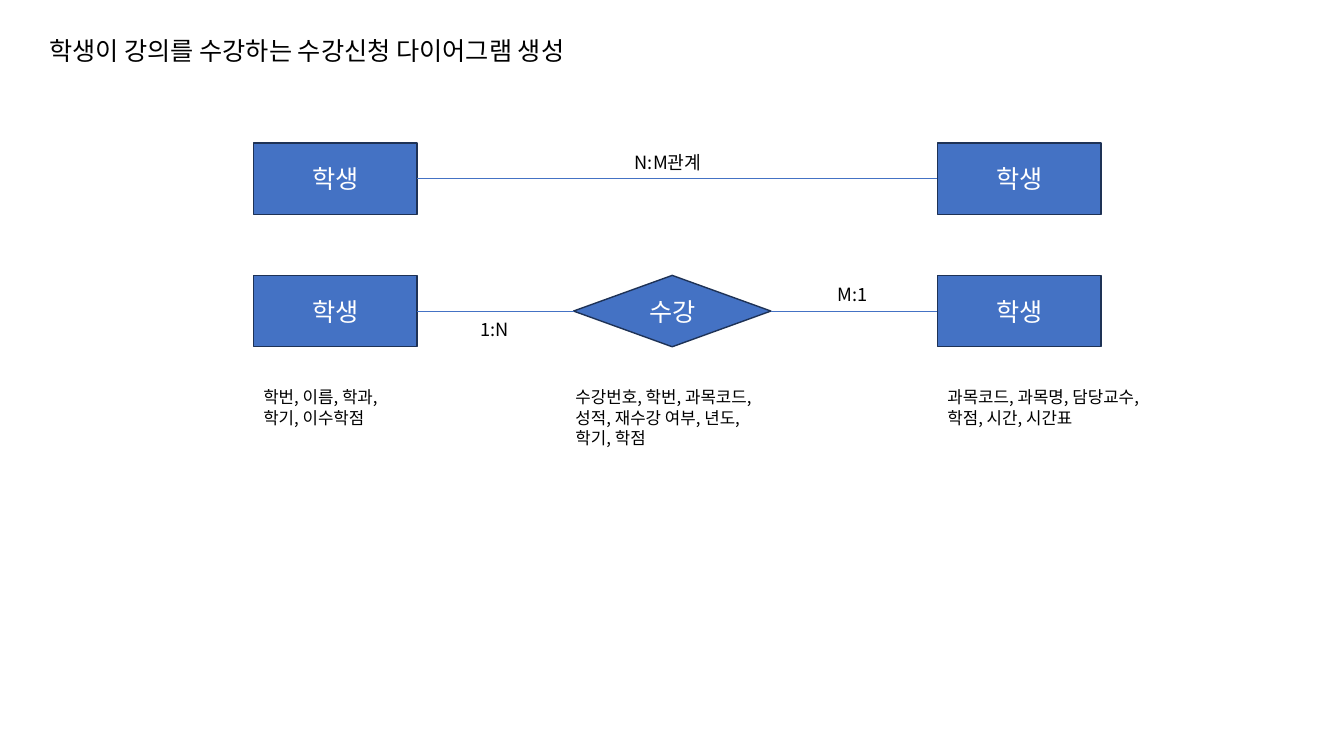
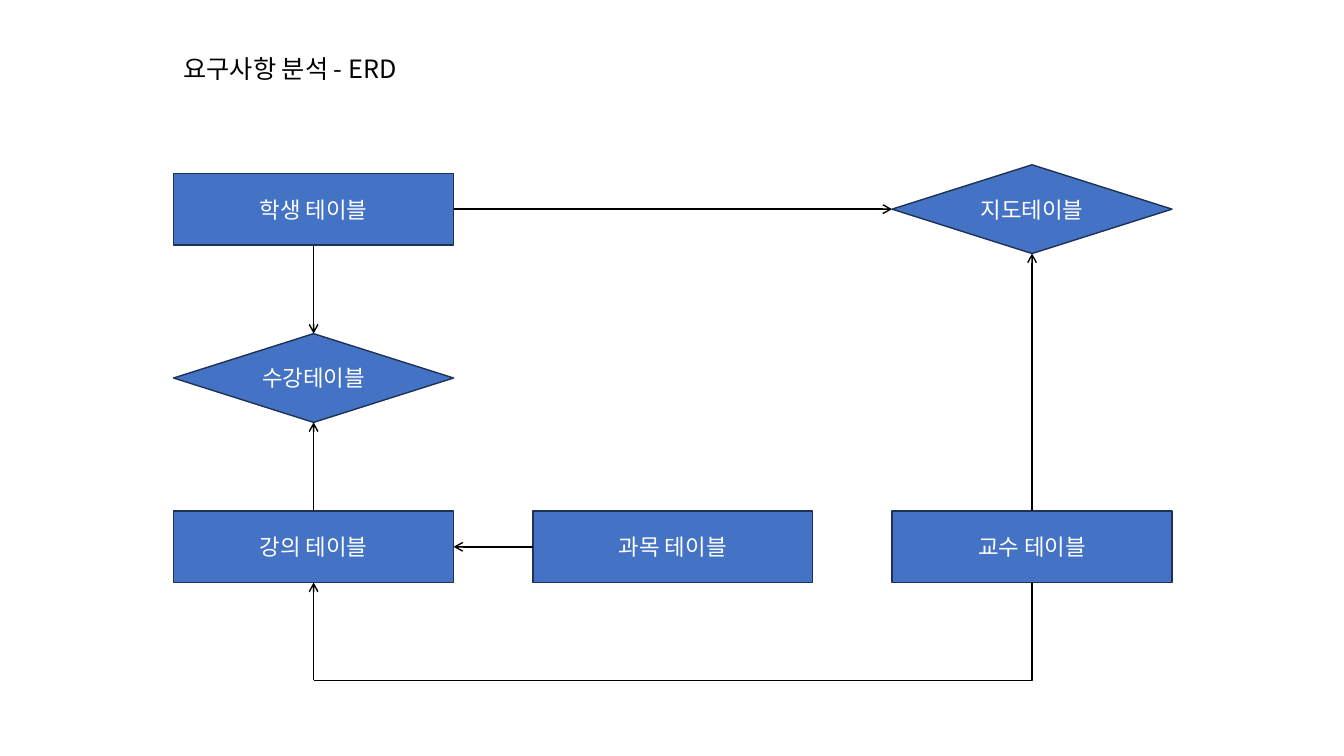
import pptx
import pptx.util
import pptx.dml.color
import pptx.enum.shapes
import pptx.enum.text
import pptx.oxml
import pptx.oxml.ns
from dataclasses import dataclass

Pt = pptx.util.Pt
Kind = pptx.enum.shapes.MSO_SHAPE
Wire = pptx.enum.shapes.MSO_CONNECTOR
qn = pptx.oxml.ns.qn
TOP, LEFT, BASE, RIGHT = range(4)  # connection sites of a box or a diamond


@dataclass(frozen=True)
class Theme:
    font: str = "Noto Sans CJK KR"
    fill: str = "4472C4"
    edge: str = "1E3256"
    ink: str = "000000"
    white: str = "FFFFFF"
    title: int = 18
    node: int = 16
    label: int = 13
    note: int = 12
    lead: float = 1.2
    thin: float = 0.5
    wide: float = 1


def color(code):
    return pptx.dml.color.RGBColor.from_string(code)


class Deck:
    def __init__(self, theme):
        self.theme = theme
        self.file = pptx.Presentation()
        self.file.slide_width, self.file.slide_height = Pt(960), Pt(540)
        self.slide = None

    def page(self):
        self.slide = self.file.slides.add_slide(self.file.slide_layouts[6])

    def fill_in(self, frame, lines, size, ink, align=None):
        """Put each line in a paragraph of its own."""
        frame.word_wrap = True
        for i, line in enumerate(lines):
            para = frame.add_paragraph() if i else frame.paragraphs[0]
            para.alignment = align
            para.line_spacing = Pt(size * self.theme.lead)
            run = para.add_run()
            run.text = line
            run.font.size = Pt(size)
            run.font.name = self.theme.font
            run.font.color.rgb = color(ink)
            east = pptx.oxml.parse_xml(
                f'<a:ea {pptx.oxml.ns.nsdecls("a")} typeface="{self.theme.font}"/>')
            run.font._element.append(east)

    def text(self, x, y, w, h, size, *lines):
        box = self.slide.shapes.add_textbox(Pt(x), Pt(y), Pt(w), Pt(h))
        self.fill_in(box.text_frame, lines, size, self.theme.ink)

    def node(self, kind, x, mid, w, h, name, size):
        """Add a named shape centred vertically on mid."""
        shape = self.slide.shapes.add_shape(
            kind, Pt(x), Pt(mid - h / 2), Pt(w), Pt(h))
        shape.shadow.inherit = False
        shape.fill.solid()
        shape.fill.fore_color.rgb = color(self.theme.fill)
        shape.line.color.rgb = color(self.theme.edge)
        shape.line.width = Pt(self.theme.wide)
        frame = shape.text_frame
        frame.vertical_anchor = pptx.enum.text.MSO_ANCHOR.MIDDLE
        self.fill_in(frame, [name], size, self.theme.white,
                     pptx.enum.text.PP_ALIGN.CENTER)
        return shape

    def wire(self, start, end, ink, width, arrow=False, bent=False):
        """Join two ends; each is a point (x, y) or a pair (shape, site)."""
        kind = Wire.ELBOW if bent else Wire.STRAIGHT
        spots = [0 if hasattr(e[0], "shape_type") else Pt(v)
                 for e in (start, end) for v in e]
        line = self.slide.shapes.add_connector(kind, *spots)
        for e, join in ((start, line.begin_connect), (end, line.end_connect)):
            if hasattr(e[0], "shape_type"):
                join(*e)
        line.line.color.rgb = color(ink)
        line.line.width = Pt(width)
        props = line._element.spPr
        if bent:
            props.find(qn("a:prstGeom")).set("prst", "bentConnector2")
        if arrow:
            tail = props.makeelement(qn("a:tailEnd"), {"type": "arrow"})
            props.find(qn("a:ln")).append(tail)
        props.append(props.makeelement(qn("a:effectLst"), {}))

    def link(self, start, end):
        self.wire(start, end, self.theme.fill, self.theme.thin)

    def arrow(self, start, end):
        self.wire(start, end, self.theme.ink, self.theme.wide, arrow=True)


def enroll(deck):
    t = deck.theme
    deck.page()
    deck.text(28, 21.6, 846, 51, t.title,
              "학생이 강의를 수강하는 수강신청 다이어그램 생성")
    left, right, wide, high = 181, 669.6, 117, 51
    rows = []
    for mid in (127.6, 222.2):
        rows.append([deck.node(Kind.RECTANGLE, x, mid, wide, high, "학생", t.title)
                     for x in (left, right)])
    course = deck.node(Kind.FLOWCHART_DECISION, 409.7, 222.2, 141, high,
                       "수강", t.title)
    (one, two), (pupil, other) = rows
    deck.link((one, RIGHT), (two, LEFT))
    deck.link((course, LEFT), (pupil, RIGHT))
    deck.link((course, RIGHT), (other, LEFT))
    for x, y, w, name in ((446.4, 104.4, 70, "N:M관계"),
                          (336, 224, 37, "1:N"), (591, 198.7, 40, "M:1")):
        deck.text(x, y, w, 23, t.label, name)
    for x, w, h, *lines in (
            (left, wide, 36, "학번, 이름, 학과,", "학기, 이수학점"),
            (right, 162, 36, "과목코드, 과목명, 담당교수, 학점, 시간, 시간표"),
            (404, 153, 51,
             "수강번호, 학번, 과목코드, 성적, 재수강 여부, 년도, 학기, 학점")):
        deck.text(x, 273, w, h, t.note, *lines)


def erd(deck):
    t = deck.theme
    deck.page()
    deck.text(124, 34.6, 229, 29, t.title, "요구사항 분석 - ERD")

    def cell(col, row, name, kind=Kind.RECTANGLE, high=51):
        return deck.node(kind, 124 + col * 256.6, 149.4 + row * 120.6,
                         200, high, name, t.node)

    def gem(col, row, name):
        return cell(col, row, name, Kind.FLOWCHART_DECISION, 63.4)

    pupil = cell(0, 0, "학생 테이블")
    guide = gem(2, 0, "지도테이블")
    course = gem(0, 1, "수강테이블")
    class_ = cell(0, 2, "강의 테이블")
    topic = cell(1, 2, "과목 테이블")
    tutor = cell(2, 2, "교수 테이블")
    for start, end in (((pupil, BASE), (course, TOP)),
                       ((pupil, RIGHT), (guide, LEFT)),
                       ((tutor, TOP), (guide, BASE)),
                       ((topic, LEFT), (class_, RIGHT)),
                       ((class_, TOP), (course, BASE))):
        deck.arrow(start, end)
    turn = (224, 486)
    deck.arrow(turn, (class_, BASE))
    deck.wire(turn, (tutor, BASE), t.ink, t.wide, bent=True)


def main():
    deck = Deck(Theme())
    enroll(deck)
    erd(deck)
    deck.file.save("out.pptx")


if __name__ == "__main__":
    main()
